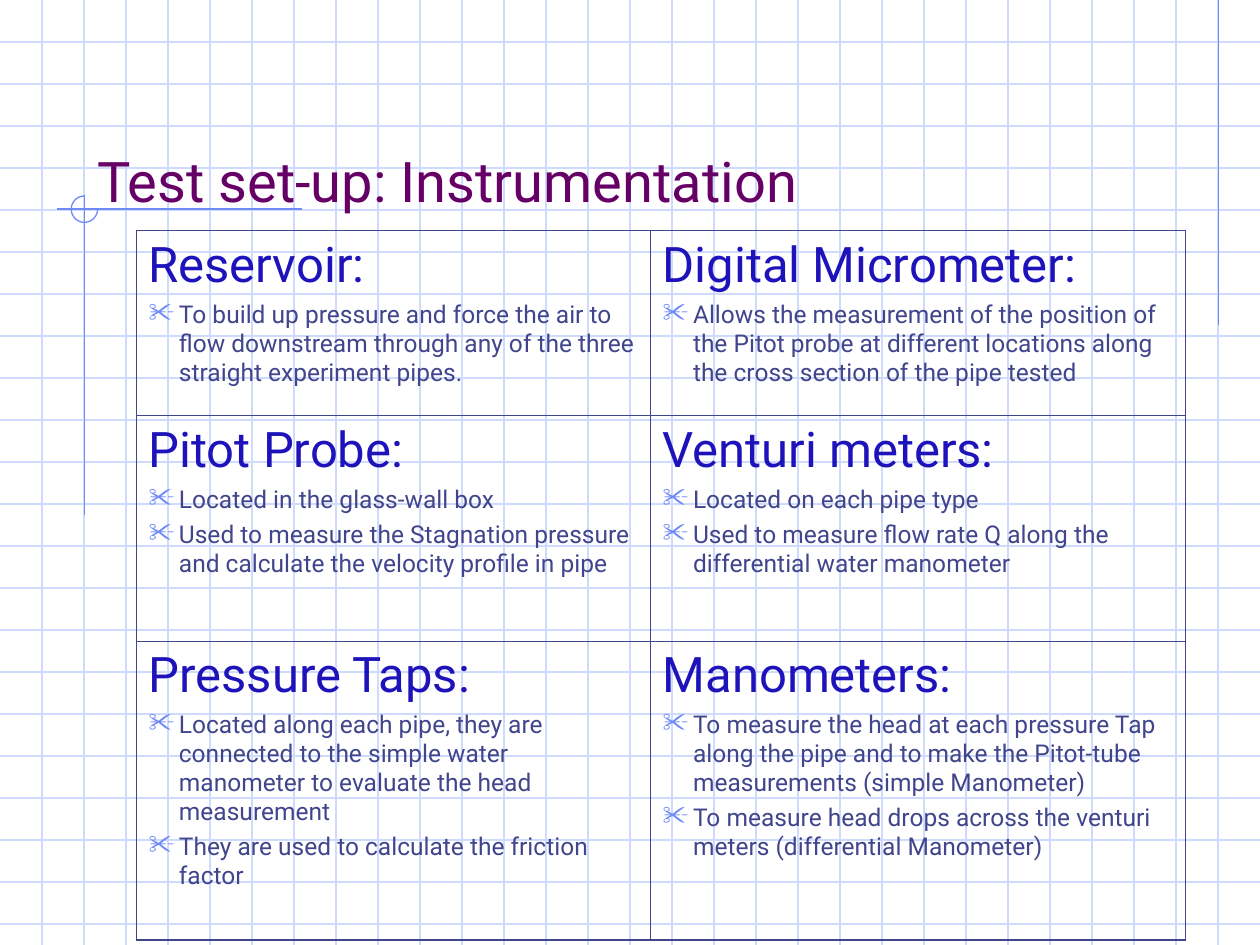
from dataclasses import dataclass

from lxml.etree import SubElement
from pptx import Presentation
from pptx.dml.color import RGBColor
from pptx.enum.shapes import MSO_CONNECTOR as Connector, MSO_SHAPE as Shape
from pptx.enum.text import MSO_ANCHOR as Anchor, MSO_AUTO_SIZE as AutoSize, PP_ALIGN as Align
from pptx.oxml.ns import qn
from pptx.util import Inches, Pt


@dataclass(frozen=True)
class Theme:
    font: str = "Roboto"
    title: str = "660066"
    heading: str = "1E12BA"
    body: str = "40458C"
    accent: str = "6F89F7"
    grid: str = "CFDBFD"
    title_size: float = 32
    heading_size: float = 28
    body_size: float = 14
    line_width: float = 0.75
    inner_border: float = 0.45
    outer_border: float = 1.08


@dataclass(frozen=True)
class Box:
    left: float
    top: float
    width: float
    height: float


THEME = Theme()
TITLE = "Test set-up: Instrumentation"
COLUMN_WIDTHS = (4.08, 4.25)
ROW_HEIGHTS = (1.47, 1.79, 2.37)
INSTRUMENTS = [
    [
        ("Reservoir:", [
            "To build up pressure and force the air to flow downstream through any "
            "of the three straight experiment pipes.",
        ]),
        ("Digital Micrometer:", [
            "Allows the measurement of the position of the Pitot probe at different "
            "locations along the cross section of the pipe tested",
        ]),
    ],
    [
        ("Pitot Probe:", [
            "Located in the glass-wall box",
            "Used to measure the Stagnation pressure and calculate the velocity "
            "profile in pipe",
        ]),
        ("Venturi meters:", [
            "Located on each pipe type",
            "Used to measure flow rate Q along the differential water manometer",
        ]),
    ],
    [
        ("Pressure Taps:", [
            "Located along each pipe, they are connected to the simple water "
            "manometer to evaluate the head measurement",
            "They are used to calculate the friction factor",
        ]),
        ("Manometers:", [
            "To measure the head at each pressure Tap along the pipe and to make "
            "the Pitot-tube measurements (simple Manometer)",
            "To measure head drops across the venturi meters (differential Manometer)",
        ]),
    ],
]


def style_font(para, size, color):
    para.font.name = THEME.font
    para.font.size = Pt(size)
    para.font.color.rgb = RGBColor.from_string(color)


def style_line(line, color):
    line.color.rgb = RGBColor.from_string(color)
    line.width = Pt(THEME.line_width)


def add_line(page, start, end, color):
    ends = [Inches(value) for value in (*start, *end)]
    line = page.shapes.add_connector(Connector.STRAIGHT, *ends)
    style_line(line.line, color)
    SubElement(line.element.spPr, qn("a:effectLst"))


def add_grid(page, box, step):
    right, bottom = box.left + box.width, box.top + box.height
    for index in range(1, round(box.height / step + 0.5)):
        y = box.top + index * step
        add_line(page, (box.left, y), (right, y), THEME.grid)
    for index in range(1, round(box.width / step)):
        x = box.left + index * step
        add_line(page, (x, box.top), (x, bottom), THEME.grid)


def add_crosshair(page, box):
    x, y, radius = box.left + 0.22, box.top + 0.11, 0.105
    add_line(page, (box.left, y), (box.left + box.width, y), THEME.accent)
    add_line(page, (x, box.top), (x, box.top + box.height), THEME.accent)
    arc = page.shapes.add_shape(
        Shape.ARC, Inches(x - radius), Inches(y - radius),
        Inches(2 * radius), Inches(2 * radius))
    arc.adjustments[0] = 0
    arc.adjustments[1] = 270 * 0.6
    arc.shadow.inherit = False
    arc.fill.background()
    style_line(arc.line, THEME.accent)


def place_title(page, box):
    title = page.shapes.title
    title.left, title.top = Inches(box.left), Inches(box.top)
    title.width, title.height = Inches(box.width), Inches(box.height)
    title.element.getparent().append(title.element)
    frame = title.text_frame
    frame.text = TITLE
    frame.word_wrap = True
    frame.auto_size = AutoSize.NONE
    frame.vertical_anchor = Anchor.BOTTOM
    para = frame.paragraphs[0]
    para.alignment = Align.LEFT
    style_font(para, THEME.title_size, THEME.title)


def add_bullet(para):
    props = para._p.get_or_add_pPr()
    props.set("marL", str(Inches(0.24)))
    props.set("indent", str(-Inches(0.24)))
    color = SubElement(props, qn("a:buClr"))
    SubElement(color, qn("a:srgbClr"), val=THEME.accent)
    SubElement(props, qn("a:buSzPct"), val="110000")
    SubElement(props, qn("a:buChar"), char="✂")


def set_borders(cell, outer_sides):
    props = cell._tc.get_or_add_tcPr()
    for side in "LRTB":
        width = THEME.outer_border if side in outer_sides else THEME.inner_border
        line = SubElement(props, qn(f"a:ln{side}"), w=str(Pt(width)))
        fill = SubElement(line, qn("a:solidFill"))
        SubElement(fill, qn("a:srgbClr"), val=THEME.body)


def fill_cell(cell, heading, points):
    frame = cell.text_frame
    frame.text = heading
    style_font(frame.paragraphs[0], THEME.heading_size, THEME.heading)
    for point in points:
        para = frame.add_paragraph()
        para.text = point
        para.space_before = Pt(3.5)
        add_bullet(para)
        style_font(para, THEME.body_size, THEME.body)


def add_instrument_table(page, box):
    rows, columns = len(ROW_HEIGHTS), len(COLUMN_WIDTHS)
    table = page.shapes.add_table(
        rows, columns, Inches(box.left), Inches(box.top),
        Inches(box.width), Inches(box.height)).table
    table.first_row = table.horz_banding = False
    for column, width in zip(table.columns, COLUMN_WIDTHS):
        column.width = Inches(width)
    for row, height in zip(table.rows, ROW_HEIGHTS):
        row.height = Inches(height)
    for row, entries in enumerate(INSTRUMENTS):
        for column, (heading, points) in enumerate(entries):
            cell = table.cell(row, column)
            outer_sides = (
                "T" * (row == 0) + "B" * (row == rows - 1)
                + "R" * (column == columns - 1))
            set_borders(cell, outer_sides)
            cell.fill.background()
            fill_cell(cell, heading, points)


def main():
    deck = Presentation()
    deck.slide_width, deck.slide_height = Inches(10), Inches(7.5)
    page = deck.slides.add_slide(deck.slide_layouts[5])
    add_grid(page, Box(0, 0, 10, 7.5), 1 / 3)
    add_line(page, (9.67, 0), (9.67, 2.58), THEME.accent)
    add_crosshair(page, Box(0.45, 1.55, 1.95, 2.54))
    place_title(page, Box(0.67, 0.5, 8.5, 1.25))
    add_instrument_table(
        page, Box(1.08, 1.83, sum(COLUMN_WIDTHS), sum(ROW_HEIGHTS)))
    deck.save("out.pptx")


if __name__ == "__main__":
    main()
